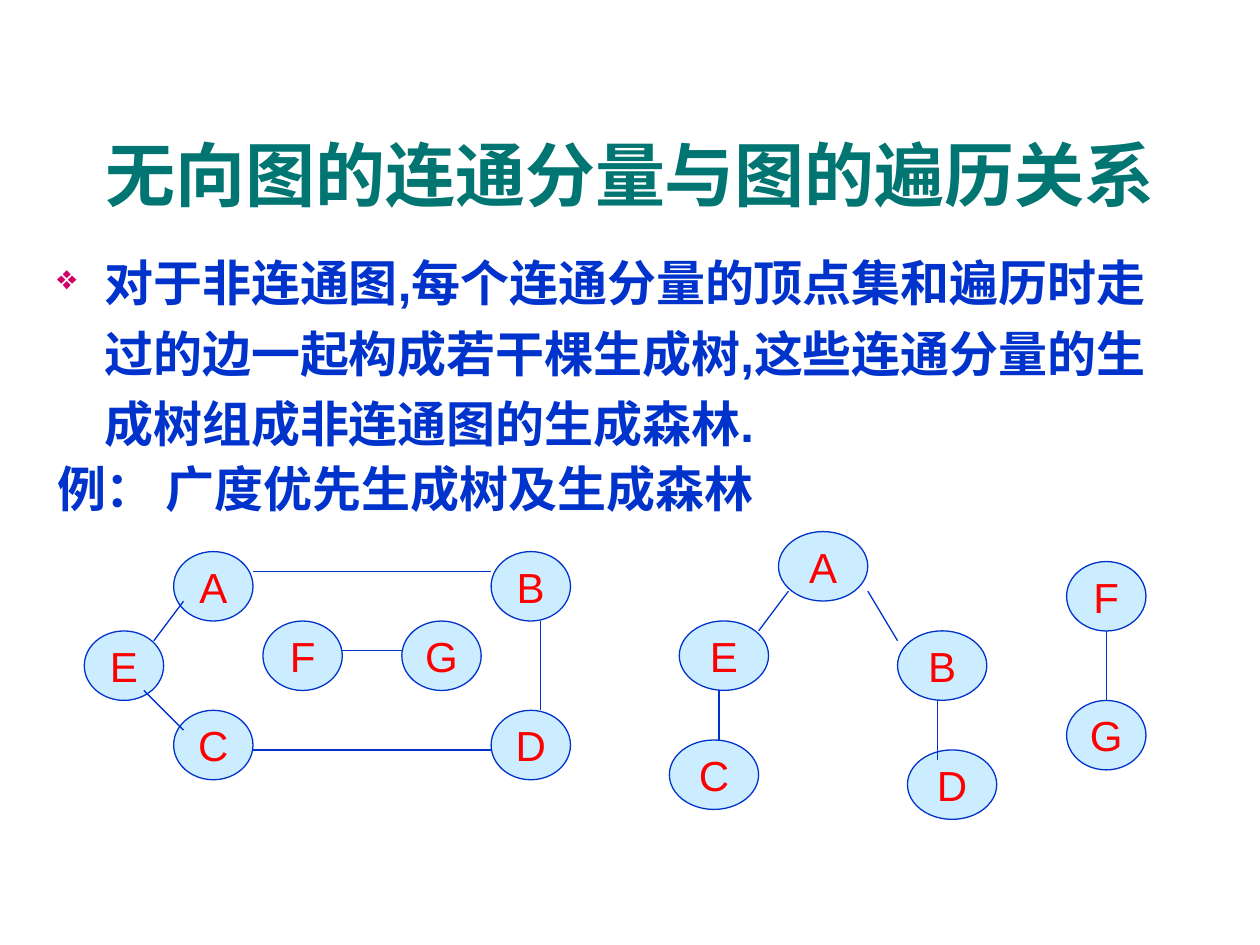
from lxml.etree import SubElement
from pptx import Presentation
from pptx.dml.color import RGBColor
from pptx.enum.shapes import MSO_CONNECTOR, MSO_SHAPE
from pptx.enum.text import MSO_ANCHOR, PP_ALIGN
from pptx.oxml.ns import qn
from pptx.util import Pt

COLORS = {"title": "007572", "body": "0033CC", "bullet": "CC0066",
          "node": "CCECFF", "edge": "0033CC", "letter": "FF0000"}
UNIT = 5.67  # grid step of the graphs, in points
NODE_H = 7   # node height in grid steps


def rgb(name):
    return RGBColor.from_string(COLORS[name])


def write(p, text, size, color, bold=False, align=None, spacing=None, before=None):
    p.alignment = align
    p.line_spacing = spacing
    if before is not None:
        p.space_before = Pt(before)
    r = p.add_run()
    r.text = text
    r.font.name = "Arial"
    r.font.size = Pt(size)
    r.font.bold = bold
    r.font.color.rgb = rgb(color)


def hang(p, indent, bullet=None):
    """Give a paragraph a hanging indent and, if wanted, a bullet."""
    pPr = p._p.get_or_add_pPr()
    pPr.set("marL", str(Pt(indent)))
    pPr.set("indent", str(-Pt(indent)))
    if bullet:
        clr = SubElement(pPr, qn("a:buClr"))
        SubElement(clr, qn("a:srgbClr"), val=COLORS["bullet"])
        SubElement(pPr, qn("a:buSzPct"), val="70000")
        SubElement(pPr, qn("a:buChar"), char=bullet)
    else:
        SubElement(pPr, qn("a:buNone"))


def text_box(s, x, y, w, h, anchor=MSO_ANCHOR.TOP):
    tf = s.shapes.add_textbox(Pt(x), Pt(y), Pt(w), Pt(h)).text_frame
    tf.word_wrap = True
    tf.vertical_anchor = anchor
    return tf


def title(s, x, y, w, h):
    tf = text_box(s, x, y, w, h, MSO_ANCHOR.MIDDLE)
    write(tf.paragraphs[0], "无向图的连通分量与图的遍历关系", 40, "title",
          bold=True, align=PP_ALIGN.CENTER)


def body(s, x, y, w, h):
    tf = text_box(s, x, y, w, h)
    p = tf.paragraphs[0]
    hang(p, 27, "❖")
    write(p, "对于非连通图,每个连通分量的顶点集和遍历时走过的边一起构成若干棵生成树,"
          "这些连通分量的生成树组成非连通图的生成森林.", 28, "body", bold=True, spacing=1.2)
    p = tf.add_paragraph()
    hang(p, 27)
    write(p, "例： 广度优先生成树及生成森林", 28, "body", bold=True, spacing=0.9, before=7)


def node(s, letter, x, y, w, h):
    sp = s.shapes.add_shape(MSO_SHAPE.OVAL, Pt(x), Pt(y), Pt(w), Pt(h))
    sp.shadow.inherit = False
    sp.fill.solid()
    sp.fill.fore_color.rgb = rgb("node")
    sp.line.color.rgb = rgb("edge")
    sp.line.width = Pt(0.75)
    tf = sp.text_frame
    tf.word_wrap = False
    tf.vertical_anchor = MSO_ANCHOR.MIDDLE
    write(tf.paragraphs[0], letter, 24, "letter", align=PP_ALIGN.CENTER)


def edge(s, x1, y1, x2, y2):
    c = s.shapes.add_connector(MSO_CONNECTOR.STRAIGHT, Pt(x1), Pt(y1), Pt(x2), Pt(y2))
    c.line.color.rgb = rgb("edge")
    c.line.width = Pt(0.75)
    SubElement(c._element.spPr, qn("a:effectLst"))


def graph(s, x, y, nodes, edges, node_w=8):
    """Draw nodes and edges given in grid steps from the corner (x, y)."""
    for letter, (col, row) in nodes.items():
        node(s, letter, x + col * UNIT, y + row * UNIT, node_w * UNIT, NODE_H * UNIT)
    for x1, y1, x2, y2 in edges:
        edge(s, x + x1 * UNIT, y + y1 * UNIT, x + x2 * UNIT, y + y2 * UNIT)


def main():
    prs = Presentation()
    prs.slide_width, prs.slide_height = Pt(720), Pt(540)
    s = prs.slides.add_slide(prs.slide_layouts[6])
    title(s, 24, 54, 672, 90)
    body(s, 25.5, 134, 646.5, 193)
    # Unconnected graph
    graph(s, 48.2, 315.2,
          {"A": (9, 0), "B": (41, 0), "C": (9, 16), "D": (41, 16), "E": (0, 8),
           "G": (32, 7), "F": (18, 7)},
          [(10, 5, 7, 9), (17, 2, 41, 2), (17, 20, 41, 20), (6, 14, 10, 18),
           (46, 7, 46, 16), (26, 10, 32, 10)])
    # Spanning forest: two trees
    graph(s, 382.5, 303.8,
          {"A": (11, 0), "E": (1, 9), "B": (23, 10), "C": (0, 21), "D": (24, 22)},
          [(12, 6, 9, 10), (5, 16, 5, 21), (20, 6, 23, 11), (27, 17, 27, 23)],
          node_w=9)
    graph(s, 609.5, 320.9, {"G": (0, 14), "F": (0, 0)}, [(4, 7, 4, 14)])
    prs.save("out.pptx")


if __name__ == "__main__":
    main()
